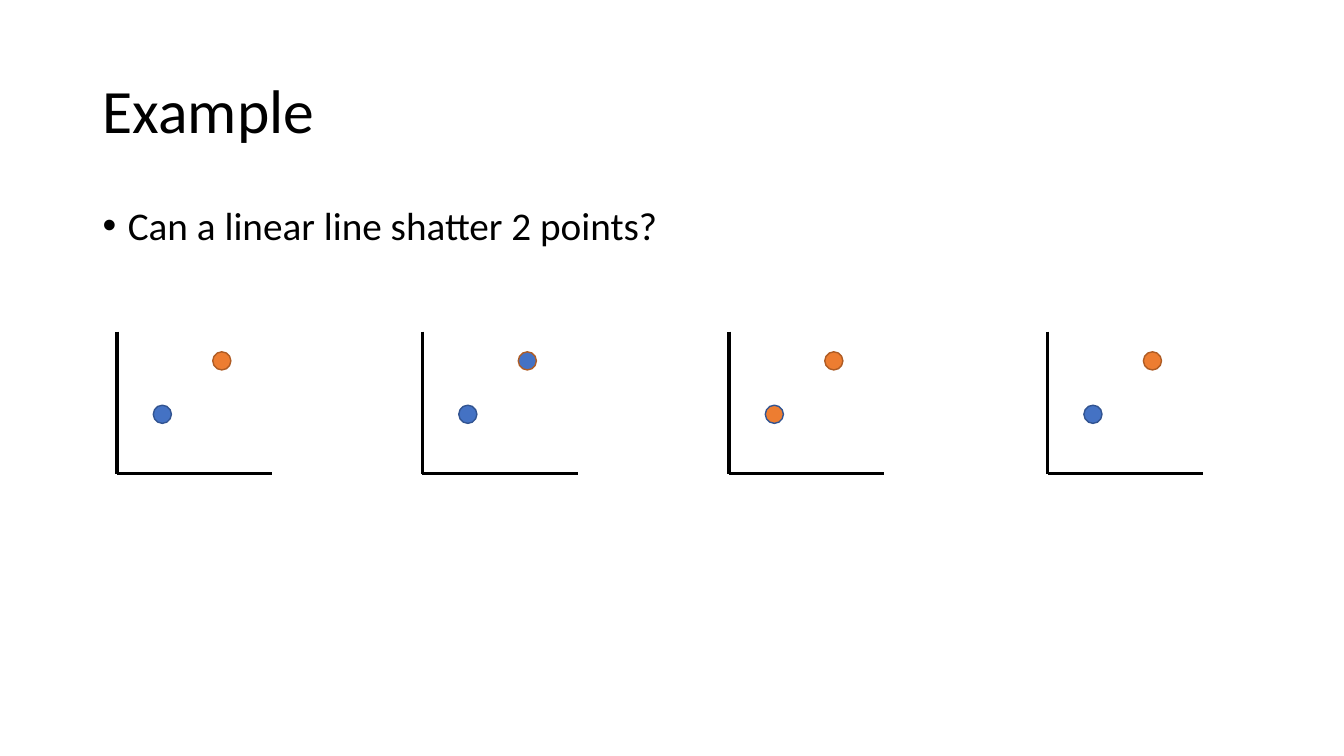
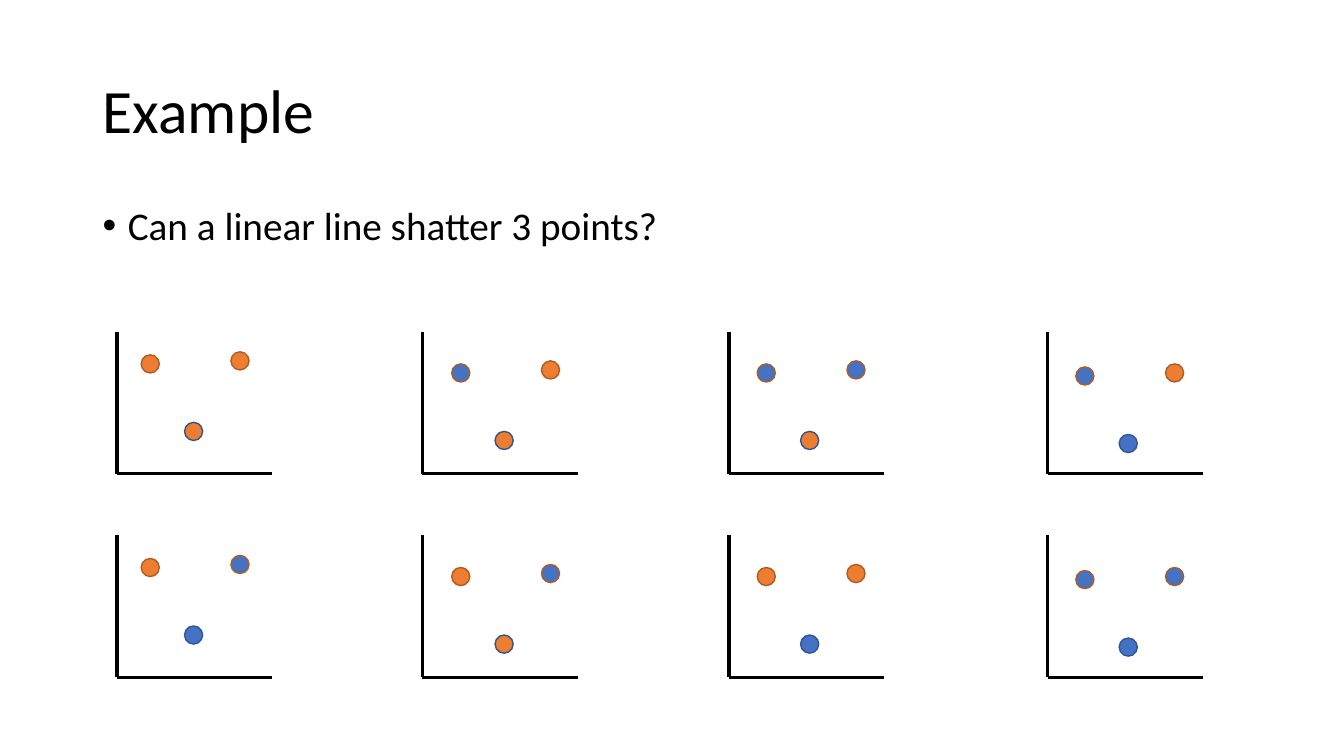
from lxml import etree
from pptx import Presentation
from pptx.dml.color import RGBColor
from pptx.enum.shapes import MSO_CONNECTOR, MSO_SHAPE
from pptx.enum.text import MSO_ANCHOR
from pptx.oxml.ns import qn
from pptx.util import Inches, Pt

STRAIGHT = MSO_CONNECTOR.STRAIGHT
OVAL = MSO_SHAPE.OVAL
MIDDLE, TOP = MSO_ANCHOR.MIDDLE, MSO_ANCHOR.TOP

COLORS = {
    "text": "000000",
    "axis": "000000",
    "blue": "4472C4",
    "orange": "ED7D31",
    "blue_edge": "325491",
    "orange_edge": "AF5C24",
}
FILLS = {"B": "blue", "O": "orange"}
FONT = "Calibri"
TITLE = {"box": (0.92, 0.4, 11.5, 1.45), "size": 44, "anchor": MIDDLE}
BODY = {"box": (0.92, 2, 11.5, 4.76), "size": 28, "anchor": TOP}

# Plot grid, in inches
COL_X = (1.16, 4.19, 7.23, 10.39)
ROW_Y, ROW_PITCH = 3.29, 2.02
AXIS_W, AXIS_H = 1.54, 1.41
DOT = 0.18

# Dot places from the top of a plot's vertical axis, with their edge colours
PAIR = ((0.36, 0.73, "blue_edge"), (0.95, 0.2, "orange_edge"))
# Dot places from the lowest dot: bottom, left, right
TRIANGLE = ((0, 0, "blue_edge"), (-0.43, -0.67, "orange_edge"), (0.46, -0.7, "orange_edge"))
TRIANGLE_ORIGINS = ((0.67, 0.9), (0.72, 0.99), (0.71, 0.99), (0.71, 1.02))

# One string per plot, one letter per dot
PAIR_LABELS = (("BO", "BB", "OO", "BO"),)
TRIANGLE_LABELS = (("OOO", "OBO", "OBB", "BBO"), ("BOB", "OOB", "BOO", "BBB"))


def rgb(name):
    return RGBColor.from_string(COLORS[name])


def add_text(slide, text, style, bullet=False):
    sp = slide.shapes.add_textbox(*map(Inches, style["box"]))
    tf = sp.text_frame
    tf.word_wrap = True
    tf.vertical_anchor = style["anchor"]
    p = tf.paragraphs[0]
    if bullet:
        pPr = p._p.get_or_add_pPr()
        pPr.set("marL", str(Inches(0.25)))
        pPr.set("indent", str(-Inches(0.25)))
        etree.SubElement(pPr, qn("a:buFont")).set("typeface", "Arial")
        etree.SubElement(pPr, qn("a:buChar")).set("char", "•")
    p.line_spacing = 0.9
    r = p.add_run()
    r.text = text
    for key, value in {"name": FONT, "size": Pt(style["size"])}.items():
        setattr(r.font, key, value)
    r.font.color.rgb = rgb("text")


def add_line(slide, *ends):
    line = slide.shapes.add_connector(STRAIGHT, *map(Inches, ends))
    line.line.color.rgb = rgb("axis")
    line.line.width = Pt(2.25)
    etree.SubElement(line._element.spPr, qn("a:effectLst"))


def add_axes(slide, x, y):
    bottom = y + AXIS_H
    add_line(slide, x, y, x, bottom)
    add_line(slide, x, bottom, x + AXIS_W, bottom)


def add_dot(slide, x, y, fill, edge):
    sp = slide.shapes.add_shape(OVAL, *map(Inches, (x, y, DOT, DOT)))
    sp.shadow.inherit = False
    sp.fill.solid()
    sp.fill.fore_color.rgb = rgb(fill)
    sp.line.color.rgb = rgb(edge)
    sp.line.width = Pt(1)


def add_plots(slide, label_rows, dots, origins):
    """Draw a grid of axes, each with the same dots in its own colouring."""
    for row, labels in enumerate(label_rows):
        y = ROW_Y + row * ROW_PITCH
        for x, label, (dx, dy) in zip(COL_X, labels, origins):
            add_axes(slide, x, y)
            for letter, (dot_x, dot_y, edge) in zip(label, dots):
                add_dot(slide, x + dx + dot_x, y + dy + dot_y, FILLS[letter], edge)


def add_example(prs, question, label_rows, dots, origins):
    slide = prs.slides.add_slide(prs.slide_layouts[6])
    add_text(slide, "Example", TITLE)
    add_text(slide, question, BODY, bullet=True)
    add_plots(slide, label_rows, dots, origins)


def main():
    prs = Presentation()
    prs.slide_width, prs.slide_height = Inches(13.33), Inches(7.5)
    add_example(prs, "Can a linear line shatter 2 points?",
                PAIR_LABELS, PAIR, [(0, 0)] * len(COL_X))
    add_example(prs, "Can a linear line shatter 3 points?",
                TRIANGLE_LABELS, TRIANGLE, TRIANGLE_ORIGINS)
    prs.save("out.pptx")


if __name__ == "__main__":
    main()
